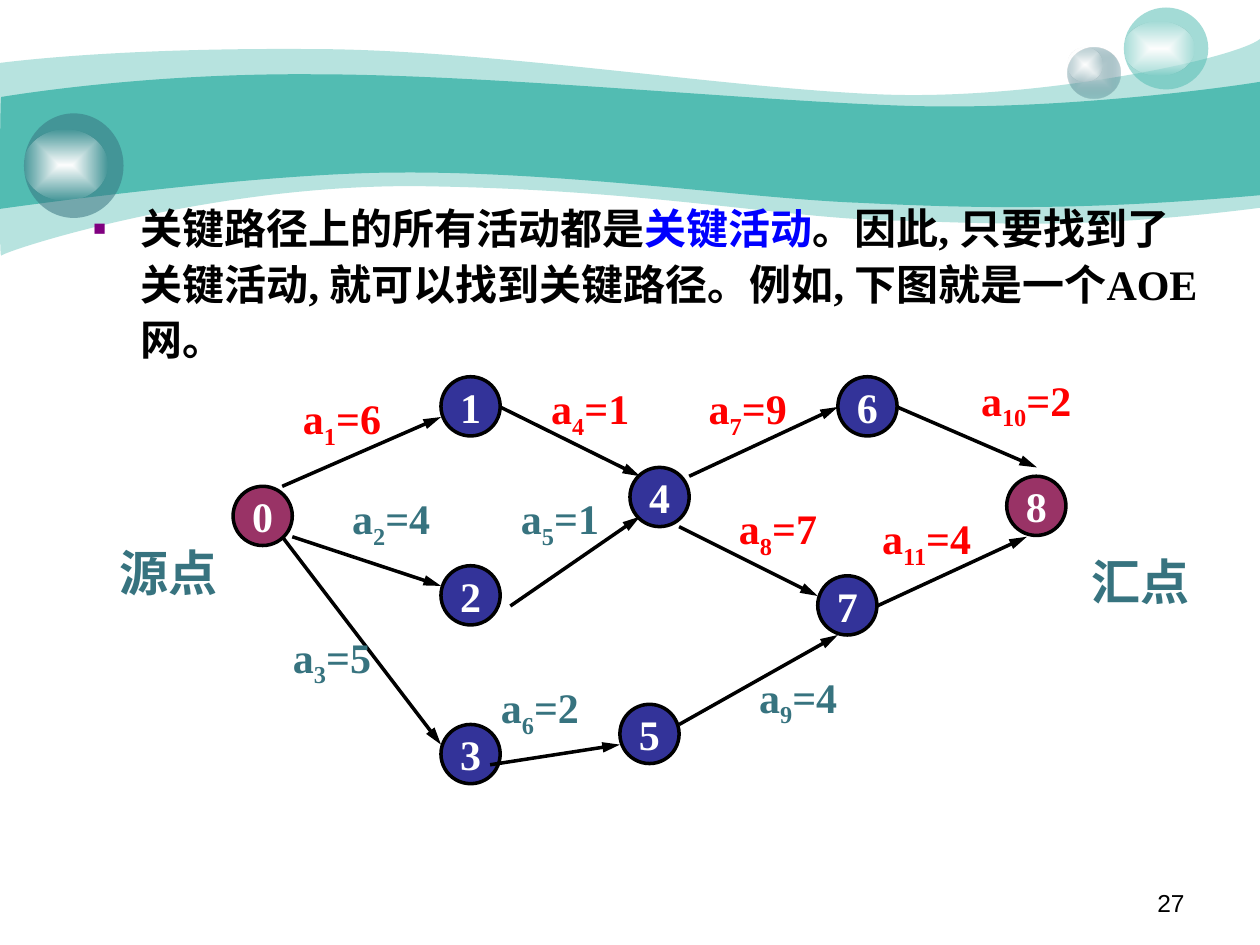
from dataclasses import dataclass
from itertools import chain

from lxml import etree
from pptx import Presentation
from pptx import util as u
from pptx.dml.color import RGBColor
from pptx.enum import shapes, text
from pptx.oxml import parse_xml
from pptx.oxml.ns import nsdecls, qn


@dataclass(frozen=True)
class Theme:
    teal: str = "52BCB2"
    slate: str = "37737F"
    mist: str = "CCDBDE"
    white: str = "FFFFFF"
    black: str = "000000"
    node: str = "333399"
    terminal: str = "993366"
    critical: str = "FF0000"
    keyword: str = "0000FF"
    bullet: str = "800080"
    serif: str = "Times New Roman"
    sans: str = "Arial"
    main_size: int = 24
    caption_size: int = 28
    number_size: int = 14
    line_width: int = 2


class SlideBuilder:
    def __init__(self, slide, theme):
        self.s, self.th = slide, theme

    def style(self, r, color, size=None, font=None, bold=True):
        r.font.name = font or self.th.serif
        r.font.size = u.Pt(size or self.th.main_size)
        r.font.bold = bold
        r.font.color.rgb = RGBColor.from_string(color)

    def paint(self, sp, color, alpha=100):
        sp.shadow.inherit = False
        sp.line.fill.background()
        sp.fill.solid()
        sp.fill.fore_color.rgb = RGBColor.from_string(color)
        if alpha < 100:
            clr = sp._element.spPr.find(qn("a:solidFill"))[0]
            etree.SubElement(clr, qn("a:alpha")).set("val", str(alpha * 1000))

    def wave(self, start, segments, alpha=100):
        """Closed outline; a segment is one point or three curve points."""
        points = [(u.Inches(x), u.Inches(y)) for x, y in chain([start], *segments)]
        fb = self.s.shapes.build_freeform(*points[0])
        fb.add_line_segments(points[1:], close=True)
        sp = fb.convert_to_shape()
        self.paint(sp, self.th.teal, alpha)
        # Join each three curve points into one cubic curve
        outline = next(sp._element.iter(qn("a:path")))
        lines = iter(outline.findall(qn("a:lnTo")))
        for seg in segments:
            group = [next(lines) for _ in seg]
            if len(group) == 3:
                curve = etree.Element(qn("a:cubicBezTo"))
                group[0].addprevious(curve)
                for ln in group:
                    curve.append(ln[0])
                    outline.remove(ln)

    def ellipse(self, x, y, w, h, color, alpha=100):
        sp = self.s.shapes.add_shape(shapes.MSO_SHAPE.OVAL, u.Inches(x), u.Inches(y),
                                     u.Inches(w), u.Inches(h))
        self.paint(sp, color, alpha)
        return sp

    def glow(self, x, y, w, h, inner, outer, alpha=0):
        sp = self.ellipse(x, y, w, h, inner)
        solid = sp._element.spPr.find(qn("a:solidFill"))
        grad = parse_xml(
            f'<a:gradFill {nsdecls("a")} rotWithShape="1"><a:gsLst>'
            f'<a:gs pos="0"><a:srgbClr val="{inner}"/></a:gs>'
            f'<a:gs pos="100000"><a:srgbClr val="{outer}">'
            f'<a:alpha val="{alpha * 1000}"/></a:srgbClr></a:gs></a:gsLst>'
            '<a:path path="rect"><a:fillToRect l="50000" t="50000" r="50000" b="50000"/>'
            '</a:path></a:gradFill>')
        solid.getparent().replace(solid, grad)

    def node(self, label, x, y, color):
        sp = self.ellipse(x, y, 0.47, 0.47, color)
        sp.line.color.rgb = RGBColor.from_string(self.th.black)
        sp.line.width = u.Pt(self.th.line_width)
        tf = sp.text_frame
        tf.text = label
        tf.word_wrap = False
        tf.vertical_anchor = text.MSO_ANCHOR.MIDDLE
        p = tf.paragraphs[0]
        p.alignment = text.PP_ALIGN.CENTER
        self.style(p.runs[0], self.th.white)

    def arrow(self, x1, y1, x2, y2):
        cn = self.s.shapes.add_connector(shapes.MSO_CONNECTOR.STRAIGHT, u.Inches(x1),
                                         u.Inches(y1), u.Inches(x2), u.Inches(y2))
        cn.line.color.rgb = RGBColor.from_string(self.th.black)
        cn.line.width = u.Pt(self.th.line_width)
        head = etree.SubElement(cn.line._get_or_add_ln(), qn("a:tailEnd"))
        head.set("type", "triangle")
        head.set("len", "lg")
        etree.SubElement(cn._element.spPr, qn("a:effectLst"))

    def textbox(self, x, y, w, h, content, align=text.PP_ALIGN.CENTER):
        tf = self.s.shapes.add_textbox(u.Inches(x), u.Inches(y),
                                       u.Inches(w), u.Inches(h)).text_frame
        tf.word_wrap = True
        p = tf.paragraphs[0]
        p.text = content
        p.alignment = align
        return p

    def caption(self, content, x, y):
        p = self.textbox(x, y, 1.34, 0.57, content)
        self.style(p.runs[0], self.th.slate, self.th.caption_size)

    def activity(self, index, cost, x, y, color):
        p = self.textbox(x, y, 1.57, 0.56, "a")
        for part in (str(index), f"={cost}"):
            p.add_run().text = part
        for r in p.runs:
            self.style(r, color)
        p.runs[1]._r.get_or_add_rPr().set("baseline", "-25000")

    def page_number(self, number):
        p = self.textbox(7.17, 7, 2.33, 0.35, number, text.PP_ALIGN.RIGHT)
        self.style(p.runs[0], self.th.black, self.th.number_size, self.th.sans, False)

    def body(self, parts):
        sp = self.s.placeholders[1]
        sp.left, sp.top = u.Inches(0.64), u.Inches(1.52)
        sp.width, sp.height = u.Inches(9), u.Inches(2.31)
        self.s.shapes._spTree.append(sp._element)  # bring in front of the waves
        tf = sp.text_frame
        tf.auto_size = text.MSO_AUTO_SIZE.NONE
        p = tf.paragraphs[0]
        p.line_spacing, p.space_before = 1.1, u.Pt(0)
        pPr = p._p.get_or_add_pPr()
        pPr.set("marL", str(u.Pt(27)))
        pPr.set("indent", str(-u.Pt(27)))
        clr = etree.SubElement(pPr, qn("a:buClr"))
        etree.SubElement(clr, qn("a:srgbClr")).set("val", self.th.bullet)
        etree.SubElement(pPr, qn("a:buSzPct")).set("val", "50000")
        etree.SubElement(pPr, qn("a:buChar")).set("char", "■")
        for content, color in parts:
            r = p.add_run()
            r.text = content
            self.style(r, color)


def main():
    prs = Presentation()
    prs.slide_width, prs.slide_height = u.Inches(10), u.Inches(7.5)
    s = prs.slides.add_slide(prs.slide_layouts[1])
    title = s.shapes.title._element
    title.getparent().remove(title)
    th = Theme()
    b = SlideBuilder(s, th)

    # Banner waves
    b.wave((0, 0.5), [
        [(0.24, 0.47), (1.07, 0.38), (2.47, 0.39)], [(3.86, 0.39), (5.75, 0.7), (6.99, 0.75)],
        [(8.22, 0.8), (9.8, 0.47), (10, 0.31)], [(10, 1.65)],
        [(8.58, 1.83), (7.87, 1.77), (7.05, 1.75)], [(6.22, 1.73), (5.15, 1.51), (3.43, 1.48)],
        [(1.72, 1.44), (0.04, 1.99), (0.01, 2.03)], [(-0.01, 2.08), (0, 0.75), (0, 0.5)]], 41)
    b.wave((0.01, 0.77), [
        [(0.02, 0.77), (1.1, 0.58), (2.48, 0.59)], [(3.86, 0.59), (5.95, 0.8), (7.18, 0.84)],
        [(8.41, 0.88), (9.76, 0.69), (10, 0.65)], [(10, 1.55)],
        [(8.53, 1.68), (7.65, 1.65), (6.82, 1.61)], [(5.99, 1.58), (4.47, 1.36), (3.17, 1.37)],
        [(2.03, 1.37), (-0.02, 1.66), (-0.01, 1.66)], [(0, 1.66), (0, 0.77), (0.01, 0.77)]])

    # Bubbles with highlights
    b.glow(8.47, 0.38, 0.42, 0.4, th.mist, th.slate, 31)
    b.glow(8.47, 0.38, 0.28, 0.27, th.white, th.white)
    b.ellipse(8.92, 0.06, 0.67, 0.65, th.teal, 53)
    b.glow(8.92, 0.17, 0.56, 0.43, th.white, th.white)
    b.ellipse(0.19, 0.9, 0.79, 0.83, th.slate, 53)
    b.glow(0.19, 1.03, 0.66, 0.56, th.white, th.white)

    # Page number and statement
    b.page_number("27")
    b.body([("关键路径上的所有活动都是", th.black), ("关键活动", th.keyword),
            ("。因此, 只要找到了关键活动, 就可以找到关键路径。例如, 下图就是一个AOE网。", th.black)])

    # Events of the AOE network, numbered in order
    events = [(1.85, 3.86), (3.5, 2.99), (3.5, 4.49), (3.5, 5.75), (5, 3.71),
              (4.92, 5.59), (6.65, 2.99), (6.49, 4.57), (7.99, 3.78)]
    for i, (x, y) in enumerate(events):
        b.node(str(i), x, y, th.terminal if i in (0, len(events) - 1) else th.node)

    # Activities a1 to a11: arrow, cost, label position
    activities = [
        ((2.24, 3.86, 3.5, 3.31), 6, (1.93, 3.07)), ((2.32, 4.26, 3.5, 4.65), 4, (2.32, 3.86)),
        ((2.24, 4.26, 3.5, 5.91), 5, (1.85, 4.96)), ((3.97, 3.23, 5.08, 3.78), 1, (3.9, 2.99)),
        ((4.05, 4.81, 5.08, 4.1), 1, (3.66, 3.86)), ((3.89, 6.07, 4.92, 5.91), 2, (3.5, 5.36)),
        ((5.47, 3.78, 6.65, 3.23), 9, (5.15, 2.99)), ((5.39, 4.18, 6.49, 4.73), 7, (5.39, 3.94)),
        ((5.39, 5.75, 6.65, 5.04), 4, (5.55, 5.28)), ((7.12, 3.23, 8.23, 3.71), 2, (7.36, 2.92)),
        ((6.96, 4.81, 8.15, 4.26), 4, (6.57, 4.02))]
    critical = {1, 4, 7, 8, 10, 11}
    for i, (ends, cost, at) in enumerate(activities, 1):
        b.arrow(*ends)
        b.activity(i, cost, *at, th.critical if i in critical else th.slate)

    # Source and sink captions
    b.caption("源点", 0.67, 4.26)
    b.caption("汇点", 8.38, 4.33)

    prs.save("out.pptx")


if __name__ == "__main__":
    main()
